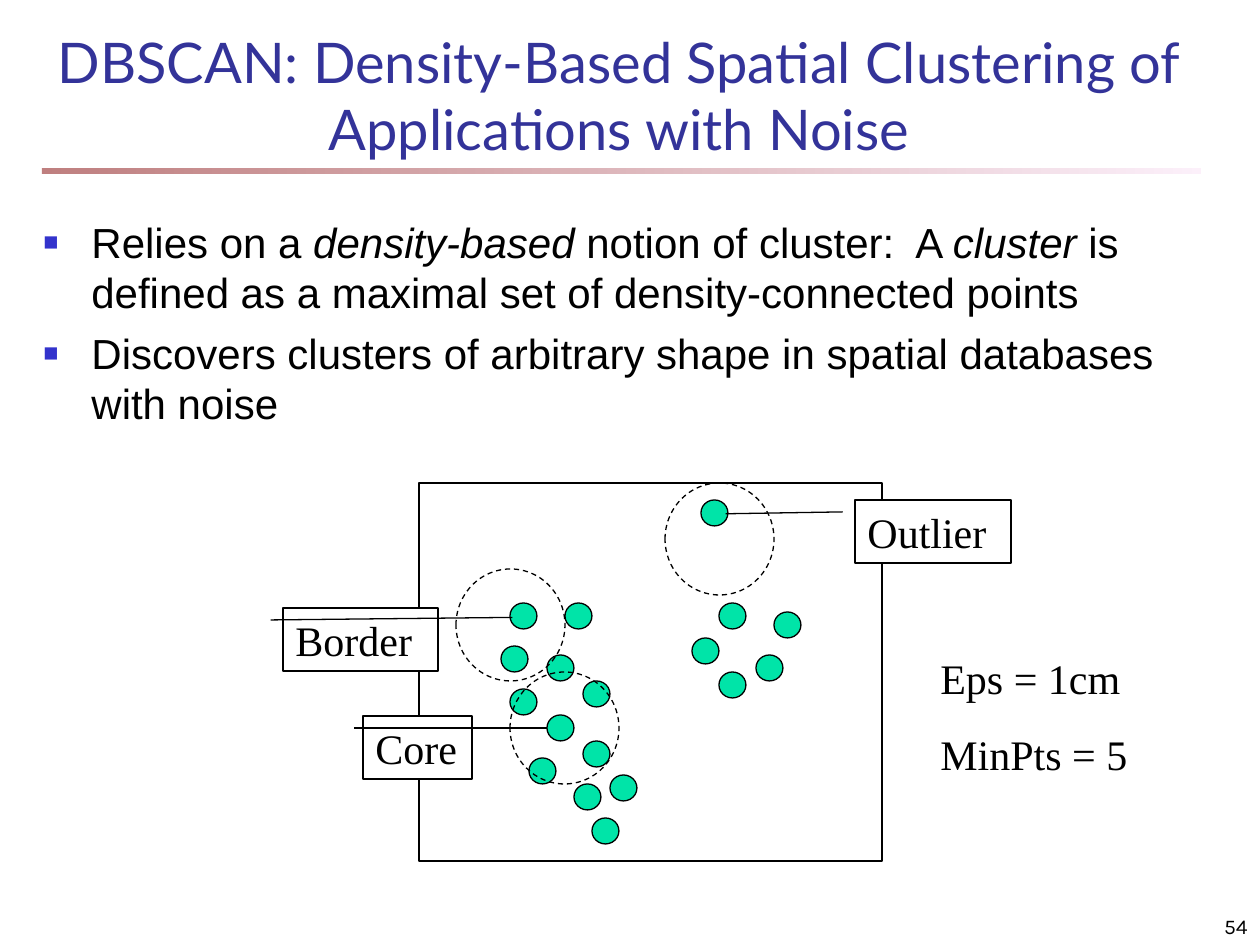
"""Build the DBSCAN slide: two bullets above a diagram of core, border and outlier points."""
from dataclasses import dataclass

from lxml.etree import SubElement
from pptx import Presentation
from pptx.dml.color import RGBColor
from pptx.enum.dml import MSO_LINE
from pptx.enum.shapes import MSO_SHAPE as Preset
from pptx.enum.text import MSO_ANCHOR as Anchor, PP_ALIGN as Align
from pptx.oxml.ns import qn
from pptx.util import Pt


@dataclass(frozen=True)
class Theme:
    title: str = "333399"
    text: str = "000000"
    bullet: str = "3333CC"
    point: str = "00E4A8"
    paper: str = "FFFFFF"
    rule: tuple = ("800000", "FAE2F6")
    title_font: str = "Lato"
    body_font: str = "Arial"
    label_font: str = "Times New Roman"
    number_font: str = "Karla"
    title_size: int = 32
    body_size: int = 24
    number_size: int = 12
    outline: float = 0.75


THEME = Theme()
SCALE = 914400 / 126

TITLE = "DBSCAN: Density-Based Spatial Clustering of Applications with Noise"
BULLETS = [
    [("Relies on a ", False), ("density-based", True), (" notion of cluster:  A ", False),
     ("cluster", True), (" is defined as a maximal set of density-connected points", False)],
    [("Discovers clusters of arbitrary shape in spatial databases with noise", False)],
]
PARAMETERS = ["Eps = 1cm", "MinPts = 5"]
PAGE_NUMBER = "54"

POINT_SIZE = (27, 26)
LEFT_CLUSTER = [(510, 603), (501, 646), (547, 655), (565, 603), (583, 681), (510, 689),
                (547, 715), (529, 758), (574, 784), (592, 818), (583, 741), (610, 775)]
RIGHT_CLUSTER = [(719, 603), (692, 638), (756, 655), (774, 612), (719, 672)]
OUTLIERS = [(701, 500)]
FRAME = (419, 483, 463, 378)
RADIUS_SIZE = (109, 112)
NEIGHBOURHOODS = [(456, 569), (510, 672), (665, 483)]
CALLOUTS = [
    ("Core", (363, 716, 109, 63), (0.19, -0.08, 0.19, 1.69)),
    ("Border", (283, 608, 155, 63), (0.19, -0.08, 0.15, 1.48)),
    ("Outlier", (855, 500, 156, 63), (0.19, -0.08, 0.22, -0.83)),
]


def px(*lengths):
    return [round(length * SCALE) for length in lengths]


def set_font(paragraph, family, size, color=THEME.text):
    font = paragraph.font
    font.name, font.size = family, Pt(size)
    font.color.rgb = RGBColor.from_string(color)


def add_text(slide, box, lines, family, size, color=THEME.text,
             align=Align.LEFT, anchor=Anchor.TOP, before=0):
    frame = slide.shapes.add_textbox(*px(*box)).text_frame
    frame.word_wrap, frame.vertical_anchor = True, anchor
    for index, runs in enumerate(lines):
        paragraph = frame.paragraphs[0] if index == 0 else frame.add_paragraph()
        paragraph.alignment, paragraph.space_before = align, Pt(before)
        set_font(paragraph, family, size, color)
        for words, italic in runs:
            run = paragraph.add_run()
            run.text = words
            if italic:
                run.font.italic = True
    return frame


def add_bullet(paragraph, indent=48):
    properties = paragraph._p.get_or_add_pPr()
    width = px(indent)[0]
    properties.set("marL", str(width))
    properties.set("indent", str(-width))
    marks = [("a:buClr", {}), ("a:buSzPct", {"val": "60000"}),
             ("a:buFont", {"typeface": THEME.body_font}), ("a:buChar", {"char": "■"})]
    followers = [child for child in properties if child.tag == qn("a:defRPr")]
    for tag, attributes in marks:
        mark = SubElement(properties, qn(tag), attributes)
        if tag == "a:buClr":
            SubElement(mark, qn("a:srgbClr"), {"val": THEME.bullet})
    properties.extend(followers)


def add_outlined(slide, preset, box, fill=None, dash=None):
    shape = slide.shapes.add_shape(preset, *px(*box))
    shape.shadow.inherit = False
    if fill:
        shape.fill.solid()
        shape.fill.fore_color.rgb = RGBColor.from_string(fill)
    else:
        shape.fill.background()
    shape.line.color.rgb = RGBColor.from_string(THEME.text)
    shape.line.width = Pt(THEME.outline)
    if dash:
        shape.line.dash_style = dash
    return shape


def add_rule(slide, box):
    rule = slide.shapes.add_shape(Preset.RECTANGLE, *px(*box))
    rule.shadow.inherit = False
    rule.line.fill.background()
    rule.fill.gradient()
    rule.fill.gradient_angle = 0
    for stop, place, color in zip(rule.fill.gradient_stops, (0, 1), THEME.rule):
        stop.position = place
        stop.color.rgb = RGBColor.from_string(color)
    for color in rule._element.spPr.iter(qn("a:srgbClr")):
        SubElement(color, qn("a:alpha"), {"val": "50000"})


def add_callout(slide, label, box, leader):
    callout = add_outlined(slide, Preset.LINE_CALLOUT_1, box, THEME.paper)
    for index, value in enumerate(leader):
        callout.adjustments[index] = value
    frame = callout.text_frame
    frame.word_wrap, frame.vertical_anchor = True, Anchor.TOP
    paragraph = frame.paragraphs[0]
    paragraph.text, paragraph.alignment = label, Align.LEFT
    set_font(paragraph, THEME.label_font, THEME.body_size)


def add_diagram(slide):
    for corner in LEFT_CLUSTER + RIGHT_CLUSTER + OUTLIERS:
        add_outlined(slide, Preset.OVAL, corner + POINT_SIZE, THEME.point)
    add_outlined(slide, Preset.RECTANGLE, FRAME)
    for corner in NEIGHBOURHOODS:
        add_outlined(slide, Preset.OVAL, corner + RADIUS_SIZE, dash=MSO_LINE.DASH)
    for callout in CALLOUTS:
        add_callout(slide, *callout)
    add_text(slide, (928, 646, 227, 140), [[(line, False)] for line in PARAMETERS],
             THEME.label_font, THEME.body_size, before=15)


def main():
    deck = Presentation()
    deck.slide_width, deck.slide_height = px(1260, 945)
    slide = deck.slides.add_slide(deck.slide_layouts[6])
    add_rule(slide, (42, 168, 1159, 6))
    add_text(slide, (31, 31, 1176, 137), [[(TITLE, False)]], THEME.title_font,
             THEME.title_size, THEME.title, Align.CENTER, Anchor.BOTTOM)
    body = add_text(slide, (31, 210, 1176, 693), BULLETS, THEME.body_font,
                    THEME.body_size, before=6)
    for paragraph in body.paragraphs:
        add_bullet(paragraph)
    add_diagram(slide)
    add_text(slide, (998, 892, 262, 53), [[(PAGE_NUMBER, False)]], THEME.number_font,
             THEME.number_size, align=Align.RIGHT, anchor=Anchor.BOTTOM)


    deck.save("out.pptx")


if __name__ == "__main__":
    main()
